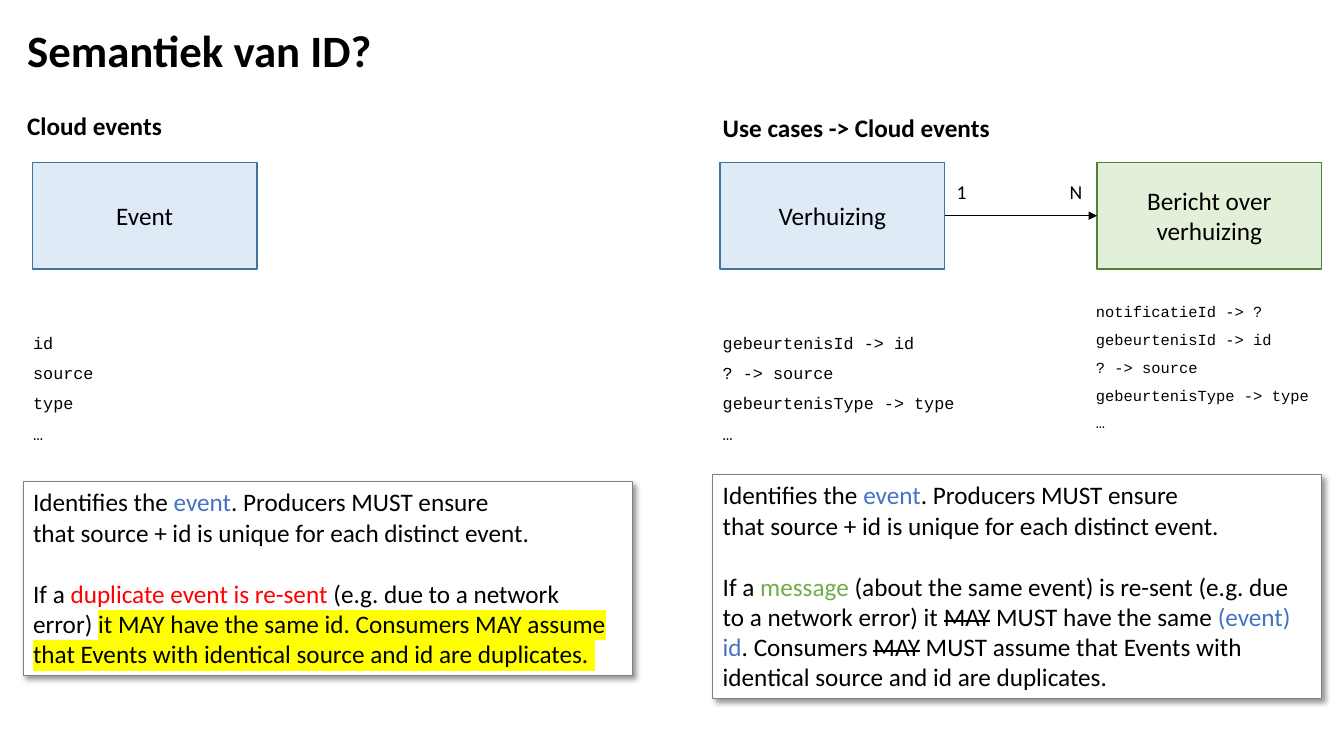
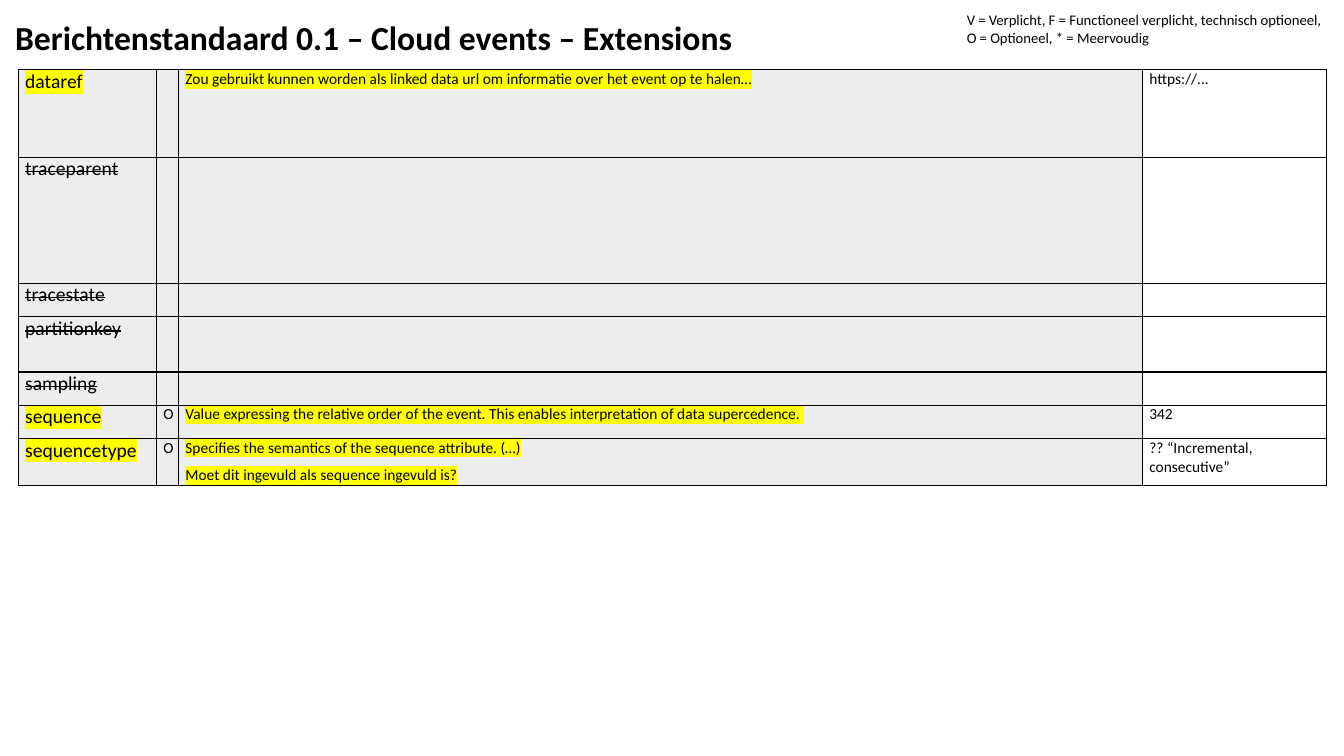
from typing import NamedTuple

from lxml.etree import SubElement
from pptx import Presentation
from pptx.dml.color import RGBColor
from pptx.enum.shapes import MSO_CONNECTOR, MSO_SHAPE
from pptx.enum.text import MSO_ANCHOR, MSO_AUTO_SIZE, PP_ALIGN
from pptx.oxml.ns import qn
from pptx.util import Inches, Pt

COLORS = {
    "black": "000000",
    "white": "FFFFFF",
    "event fill": "DEEBF7",
    "event line": "43739E",
    "message fill": "E2F0D9",
    "message line": "538035",
    "note line": "808080",
    "event text": "4472C4",
    "message text": "70AD47",
    "warning text": "FF0000",
    "marker": "FFFF00",
    "cell": "EDEDED",
}
BODY_FONT = "Calibri"
CODE_FONT = "Courier New"
TIE = "~"  # stands for a non-breaking space in the texts below


class Run(NamedTuple):
    text: str
    color: str = ""
    marked: bool = False
    struck: bool = False


class Style(NamedTuple):
    size: float
    font: str = BODY_FONT
    bold: bool = False
    align: PP_ALIGN = PP_ALIGN.LEFT
    line_spacing: float = 1.0
    gap: float = 0  # points between paragraphs


class Label(NamedTuple):
    left: float
    top: float
    width: float
    height: float
    lines: list
    style: Style


class Entity(NamedTuple):
    left: float
    name: str
    kind: str


class Note(NamedTuple):
    left: float
    top: float
    height: float
    paragraphs: list


class Extension(NamedTuple):
    height: float
    name: Run
    presence: str = ""
    description: tuple = ()
    example: str = ""


HEADING = Style(18, bold=True)
ENTITY = Style(18, align=PP_ALIGN.CENTER)
NOTE = Style(18, gap=22)
MULTIPLICITY = Style(14)
CODE = Style(12, CODE_FONT, line_spacing=1.5)
SMALL_CODE = Style(11, CODE_FONT, line_spacing=1.5)
LEGEND = Style(10.5)
CELL_NAME = Style(14)
CELL = Style(11, gap=6)
CELL_CENTERED = Style(11, align=PP_ALIGN.CENTER)

ENTITY_TOP, ENTITY_WIDTH, ENTITY_HEIGHT = 1.61, 2.23, 1.06
NOTE_WIDTH = 6.04
COLUMN_WIDTHS = (1.37, 0.22, 9.56, 1.83)

ENTITIES = [
    Entity(0.32, "Event", "event"),
    Entity(7.14, "Verhuizing", "event"),
    Entity(10.88, "Bericht over verhuizing", "message"),
]

LABELS = [
    Label(0.17, 1.05, 1.55, 0.4, ["Cloud events"], HEADING),
    Label(7.07, 1.07, 2.87, 0.4, ["Use cases -> Cloud events"], HEADING),
    Label(9.39, 1.74, 0.3, 0.34, ["1"], MULTIPLICITY),
    Label(10.51, 1.74, 0.33, 0.34, ["N"], MULTIPLICITY),
    Label(0.23, 3.15, 0.81, 1.29, ["id", "source", "type", "…"], CODE),
    Label(7.07, 3.15, 2.54, 1.29,
          ["gebeurtenisId -> id", "? -> source", "gebeurtenisType -> type", "…"], CODE),
    Label(10.77, 2.86, 2.34, 1.47,
          ["notificatieId -> ?", "gebeurtenisId -> id", "? -> source",
           "gebeurtenisType -> type", "…"], SMALL_CODE),
]

IDENTITY_RULE = [
    Run("Identifies the "),
    Run("event", "event text"),
    Run(". Producers MUST ensure that~source~+~id~is unique for each distinct event."),
]
STRUCK_MAY = Run("MAY", struck=True)
NOTES = [
    Note(0.23, 4.78, 1.92, [IDENTITY_RULE, [
        Run("If a "),
        Run("duplicate event is re-sent ", "warning text"),
        Run("(e.g.~due to a network error) "),
        Run("it MAY have the same~id. Consumers MAY assume that Events with "
            "identical~source~and~id~are duplicates.~", marked=True),
    ]]),
    Note(7.07, 4.71, 2.22, [IDENTITY_RULE, [
        Run("If a "),
        Run("message ", "message text"),
        Run("(about the same event) is re-sent (e.g.~due to a network error) it "),
        STRUCK_MAY,
        Run(" MUST have the same~"),
        Run("(event) id", "event text"),
        Run(". Consumers "),
        STRUCK_MAY,
        Run(" MUST assume that Events with identical~source~and~id~are duplicates."),
    ]]),
]

EXTENSIONS = [
    Extension(0.87, Run("dataref", marked=True), "",
              ("Zou gebruikt kunnen worden als linked data url om informatie "
               "over het event op te halen…",), "https://..."),
    Extension(1.25, Run("traceparent", struck=True)),
    Extension(0.33, Run("tracestate", struck=True)),
    Extension(0.55, Run("partitionkey", struck=True)),
    Extension(0.33, Run("sampling", struck=True)),
    Extension(0.33, Run("sequence", marked=True), "O",
              ("Value expressing the relative order of the event. This enables "
               "interpretation of data supercedence.~",), "342"),
    Extension(0.47, Run("sequencetype", marked=True), "O",
              ("Specifies the semantics of the sequence attribute. (…)",
               "Moet dit ingevuld als sequence ingevuld is?"),
              "?? “Incremental, consecutive”"),
]


def rgb(name: str) -> RGBColor:
    return RGBColor.from_string(COLORS[name])


def add_color(parent, name: str):
    return SubElement(parent, qn("a:srgbClr"), val=COLORS[name])


def write(text_frame, paragraphs: list, style: Style) -> None:
    """Fill a text frame; each paragraph is a string or a list of runs."""
    for index, content in enumerate(paragraphs):
        paragraph = text_frame.paragraphs[0] if index == 0 else text_frame.add_paragraph()
        paragraph.alignment = style.align
        paragraph.line_spacing = style.line_spacing
        if index and style.gap:
            paragraph.space_before = Pt(style.gap)
        font = paragraph.font
        font.name, font.size, font.bold = style.font, Pt(style.size), style.bold
        font.color.rgb = rgb("black")
        for part in [Run(content)] if isinstance(content, str) else content:
            run = paragraph.add_run()
            run.text = part.text.replace(TIE, chr(160))
            if part.color:
                run.font.color.rgb = rgb(part.color)
            properties = run.font._element
            if part.struck:
                properties.set("strike", "sngStrike")
            if part.marked:
                add_color(SubElement(properties, qn("a:highlight")), "marker")


def add_title(slide, text: str, left: float, top: float, width: float, size: float) -> None:
    title = slide.shapes.title
    title.left, title.top = Inches(left), Inches(top)
    title.width, title.height = Inches(width), Inches(0.69)
    title.text_frame.auto_size = MSO_AUTO_SIZE.NONE
    title.text_frame.vertical_anchor = MSO_ANCHOR.MIDDLE
    write(title.text_frame, [text], Style(size, bold=True, line_spacing=0.9))


def add_label(slide, label: Label) -> None:
    box = slide.shapes.add_textbox(
        Inches(label.left), Inches(label.top), Inches(label.width), Inches(label.height))
    box.text_frame.word_wrap = False
    box.text_frame.auto_size = MSO_AUTO_SIZE.SHAPE_TO_FIT_TEXT
    write(box.text_frame, label.lines, label.style)


def add_box(slide, left: float, top: float, width: float, height: float,
            fill: str, line: str, line_width: float):
    box = slide.shapes.add_shape(
        MSO_SHAPE.RECTANGLE, Inches(left), Inches(top), Inches(width), Inches(height))
    box.fill.solid()
    box.fill.fore_color.rgb = rgb(fill)
    box.line.color.rgb = rgb(line)
    box.line.width = Pt(line_width)
    box.shadow.inherit = False
    box.text_frame.word_wrap = True
    return box


def add_entity(slide, entity: Entity):
    box = add_box(slide, entity.left, ENTITY_TOP, ENTITY_WIDTH, ENTITY_HEIGHT,
                  f"{entity.kind} fill", f"{entity.kind} line", 1)
    box.text_frame.vertical_anchor = MSO_ANCHOR.MIDDLE
    write(box.text_frame, [entity.name], ENTITY)
    return box


def add_arrow(slide, source, target) -> None:
    """Arrow from the right side of one box to the left side of another."""
    arrow = slide.shapes.add_connector(MSO_CONNECTOR.STRAIGHT, 0, 0, 0, 0)
    arrow.begin_connect(source, 3)
    arrow.end_connect(target, 1)
    arrow.line.color.rgb = rgb("black")
    arrow.line.width = Pt(0.5)
    SubElement(arrow.line._get_or_add_ln(), qn("a:tailEnd"), type="triangle")
    SubElement(arrow._element.spPr, qn("a:effectLst"))


def add_note(slide, note: Note) -> None:
    box = add_box(slide, note.left, note.top, NOTE_WIDTH, note.height,
                  "white", "note line", 0.75)
    effects = box._element.spPr.find(qn("a:effectLst"))
    shadow = SubElement(effects, qn("a:outerShdw"), blurRad=str(Pt(4)), dist=str(Pt(3)),
                        dir="2700000", algn="tl", rotWithShape="0")
    SubElement(add_color(shadow, "black"), qn("a:alpha"), val="40000")
    box.text_frame.vertical_anchor = MSO_ANCHOR.TOP
    box.text_frame.auto_size = MSO_AUTO_SIZE.SHAPE_TO_FIT_TEXT
    write(box.text_frame, note.paragraphs, NOTE)


def format_cell(cell, fill: str) -> None:
    cell.margin_left = cell.margin_right = Inches(0.07)
    cell.margin_top = cell.margin_bottom = 0
    properties = cell._tc.get_or_add_tcPr()
    for side in ("lnL", "lnR", "lnT", "lnB"):
        border = SubElement(properties, qn(f"a:{side}"), w=str(Pt(1)))
        add_color(SubElement(border, qn("a:solidFill")), "black")
    cell.fill.solid()
    cell.fill.fore_color.rgb = rgb(fill)


def add_extension_table(slide) -> None:
    table = slide.shapes.add_table(
        len(EXTENSIONS), len(COLUMN_WIDTHS), Inches(0.18), Inches(0.69),
        Inches(sum(COLUMN_WIDTHS)), Inches(sum(row.height for row in EXTENSIONS))).table
    table.first_row = table.horz_banding = False
    for column, width in zip(table.columns, COLUMN_WIDTHS):
        column.width = Inches(width)
    for row, extension in zip(table.rows, EXTENSIONS):
        row.height = Inches(extension.height)
        contents = [
            ([[extension.name]], CELL_NAME, "cell"),
            ([extension.presence], CELL_CENTERED, "cell"),
            ([[Run(text, marked=True)] for text in extension.description], CELL, "cell"),
            ([extension.example], CELL, "white"),
        ]
        for cell, (paragraphs, style, fill) in zip(row.cells, contents):
            format_cell(cell, fill)
            if any(paragraphs):
                write(cell.text_frame, paragraphs, style)


def main() -> None:
    presentation = Presentation()
    presentation.slide_width, presentation.slide_height = Inches(13.33), Inches(7.5)
    title_only = presentation.slide_layouts[5]

    # Meaning of the event id
    slide = presentation.slides.add_slide(title_only)
    add_title(slide, "Semantiek van ID?", 0.17, 0.18, 11.5, 32)
    _, move, message = [add_entity(slide, entity) for entity in ENTITIES]
    add_arrow(slide, move, message)
    for label in LABELS:
        add_label(slide, label)
    for note in NOTES:
        add_note(slide, note)

    # Extension attributes
    slide = presentation.slides.add_slide(title_only)
    add_title(slide, "Berichtenstandaard 0.1 – Cloud events – Extensions", 0.05, 0.05, 10.8, 24)
    add_extension_table(slide)
    add_label(slide, Label(9.49, 0.06, 3.79, 0.45, [
        "V = Verplicht, F = Functioneel verplicht, technisch optioneel,",
        "O = Optioneel, * = Meervoudig"], LEGEND))

    presentation.save("out.pptx")


if __name__ == "__main__":
    main()
